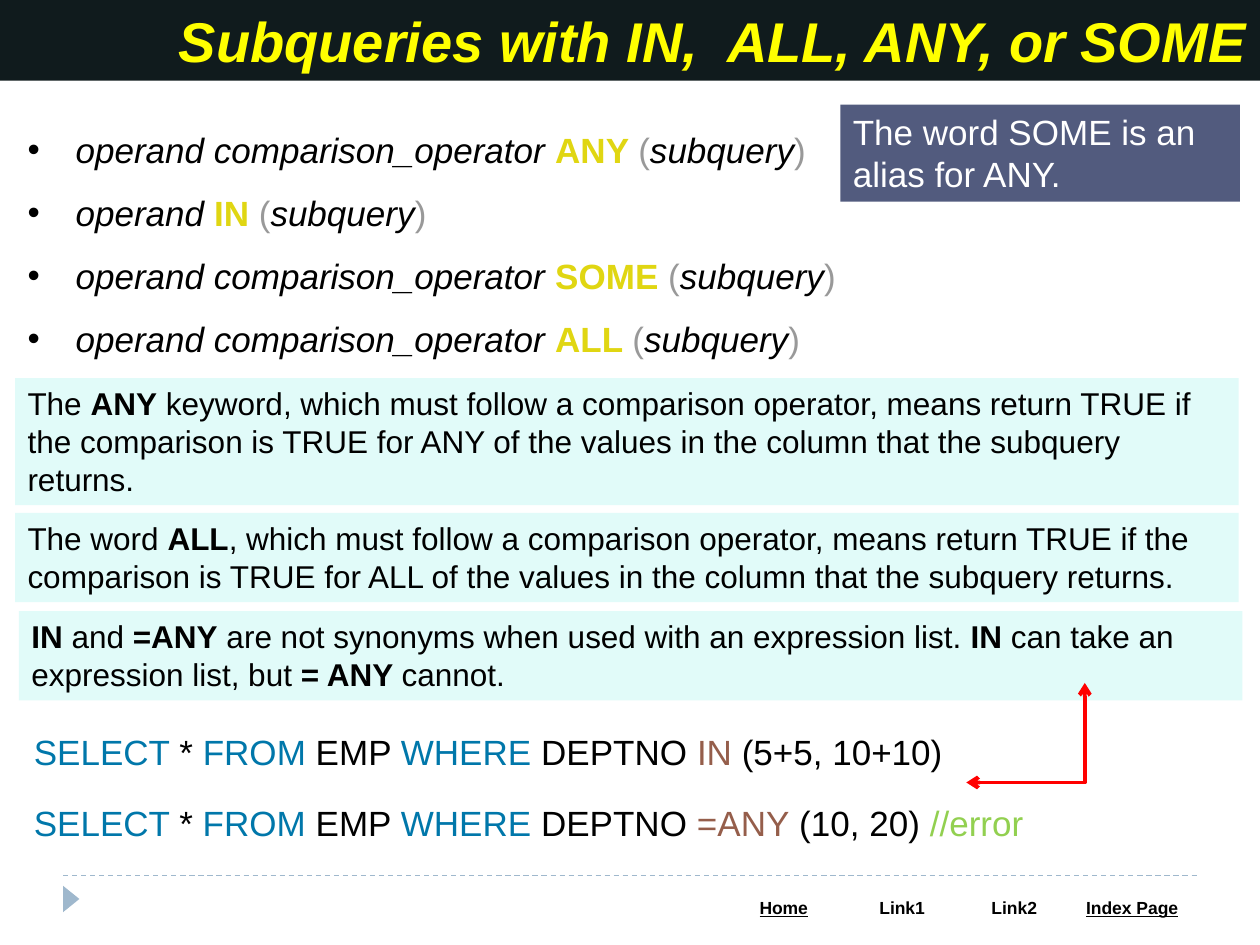
from lxml import etree
from pptx import Presentation
from pptx.dml.color import RGBColor
from pptx.enum.dml import MSO_LINE
from pptx.enum.shapes import MSO_CONNECTOR, MSO_SHAPE
from pptx.enum.text import MSO_ANCHOR, MSO_AUTO_SIZE, PP_ALIGN
from pptx.oxml.ns import qn
from pptx.util import Inches, Pt

STRAIGHT, ELBOW = MSO_CONNECTOR.STRAIGHT, MSO_CONNECTOR.ELBOW
RECTANGLE, TRIANGLE = MSO_SHAPE.RECTANGLE, MSO_SHAPE.ISOSCELES_TRIANGLE
LEFT, CENTER, RIGHT = PP_ALIGN.LEFT, PP_ALIGN.CENTER, PP_ALIGN.RIGHT
TOP, MIDDLE = MSO_ANCHOR.TOP, MSO_ANCHOR.MIDDLE
NO_AUTOFIT, DASH = MSO_AUTO_SIZE.NONE, MSO_LINE.DASH

BLACK = RGBColor(0x00, 0x00, 0x00)
WHITE = RGBColor(0xFF, 0xFF, 0xFF)
YELLOW = RGBColor(0xFF, 0xFF, 0x00)
BANNER = RGBColor(0x10, 0x1B, 0x1D)
OPERATOR = RGBColor(0xE0, 0xD6, 0x12)
BRACKET = RGBColor(0x99, 0x99, 0x99)
NOTE = RGBColor(0xE1, 0xFB, 0xF9)
CALLOUT = RGBColor(0x52, 0x5B, 0x7E)
KEYWORD = RGBColor(0x00, 0x77, 0xAA)
PREDICATE = RGBColor(0x95, 0x5E, 0x4B)
COMMENT = RGBColor(0x92, 0xD0, 0x50)
FOOTER = RGBColor(0x9F, 0xB8, 0xCD)
RED = RGBColor(0xFF, 0x00, 0x00)


def add_text(para, text, size=20, color=BLACK, bold=False, italic=False, underline=False):
    span = para.add_run()
    span.text = text
    font = span.font
    font.name, font.size = "Arial", Pt(size)
    font.bold, font.italic, font.underline = bold, italic, underline
    font.color.rgb = color


def place(shape, left, top, width, height):
    shape.left, shape.top = Inches(left), Inches(top)
    shape.width, shape.height = Inches(width), Inches(height)


def prepare_frame(shape, anchor=TOP):
    frame = shape.text_frame
    frame.word_wrap = True
    frame.auto_size = NO_AUTOFIT
    frame.vertical_anchor = anchor
    return frame


def fill_title(page, text):
    title = page.shapes.title
    place(title, 0, 0, 10, 0.64)
    title.fill.solid()
    title.fill.fore_color.rgb = BANNER
    para = prepare_frame(title, MIDDLE).paragraphs[0]
    para.alignment = RIGHT
    add_text(para, text, size=32, color=YELLOW, bold=True, italic=True)


def add_bullet(para):
    properties = para._p.get_or_add_pPr()
    properties.set("marL", str(Inches(0.38)))
    properties.set("indent", str(Inches(-0.38)))
    etree.SubElement(properties, qn("a:buFont")).set("typeface", "Arial")
    etree.SubElement(properties, qn("a:buChar")).set("char", "•")


def fill_syntax_list(page, rows):
    body = page.placeholders[1]
    place(body, 0.12, 0.8, 9.71, 2.12)
    frame = prepare_frame(body)
    for index, (operand, operator) in enumerate(rows):
        para = frame.add_paragraph() if index else frame.paragraphs[0]
        add_bullet(para)
        para.line_spacing = 1.5
        para.space_before = Pt(0)
        add_text(para, operand + " ", italic=True)
        add_text(para, operator + " ", color=OPERATOR, bold=True)
        add_text(para, "(", color=BRACKET)
        add_text(para, "subquery", italic=True)
        add_text(para, ")", color=BRACKET)


def add_filled_shape(page, kind, color, *position):
    shape = page.shapes.add_shape(kind, *map(Inches, position))
    shape.shadow.inherit = False
    shape.fill.solid()
    shape.fill.fore_color.rgb = color
    shape.line.fill.background()
    return shape


def add_panel(page, position, spans, fill=NOTE, size=18, color=BLACK):
    """Add a filled box; spans are (text, bold) pairs."""
    panel = add_filled_shape(page, RECTANGLE, fill, *position)
    para = prepare_frame(panel).paragraphs[0]
    para.alignment = LEFT
    for text, bold in spans:
        add_text(para, text, size=size, color=color, bold=bold)


def add_query(page, top, width, predicate, values, comment=""):
    box = page.shapes.add_textbox(Inches(0.17), Inches(top), Inches(width), Inches(0.44))
    para = prepare_frame(box).paragraphs[0]
    spans = [("SELECT ", KEYWORD), ("* ", BLACK), ("FROM", KEYWORD), (" EMP ", BLACK),
             ("WHERE", KEYWORD), (" DEPTNO ", BLACK), (predicate, PREDICATE), (values, BLACK)]
    if comment:
        spans.append((comment, COMMENT))
    for text, color in spans:
        add_text(para, text, color=color)


def add_line(page, kind, start, end, color, width):
    line = page.shapes.add_connector(kind, *map(Inches, start + end))
    line.line.color.rgb = color
    line.line.width = Pt(width)
    etree.SubElement(line._element.spPr, qn("a:effectLst"))
    return line


def add_elbow_arrow(page, start, end):
    """Join two points by a vertical then a horizontal leg, with arrows at both ends."""
    arrow = add_line(page, ELBOW, start, end, RED, 2.25)
    guides = arrow._element.spPr.find(qn("a:prstGeom")).find(qn("a:avLst"))
    etree.SubElement(guides, qn("a:gd"), name="adj1", fmla="val 0")
    outline = arrow.line._get_or_add_ln()
    for tag in ("a:headEnd", "a:tailEnd"):
        etree.SubElement(outline, qn(tag)).set("type", "arrow")


def add_footer(page, links):
    """Add the rule, marker and link table; links are (label, width, underline)."""
    marker = add_filled_shape(page, TRIANGLE, FOOTER, 0.46, 7.07, 0.21, 0.13)
    marker.rotation = 90
    rule = add_line(page, STRAIGHT, (0.5, 6.95), (9.5, 6.95), FOOTER, 0.75)
    rule.line.dash_style = DASH
    total = sum(width for _, width, _ in links)
    frame = page.shapes.add_table(1, len(links), Inches(5.75), Inches(7.08),
                                  Inches(total), Inches(0.27))
    table = frame.table
    for index, (label, width, underline) in enumerate(links):
        table.columns[index].width = Inches(width)
        cell = table.cell(0, index)
        cell.fill.solid()
        cell.fill.fore_color.rgb = WHITE
        para = cell.text_frame.paragraphs[0]
        para.alignment = CENTER
        add_text(para, label, size=10, bold=True, underline=underline)


def main():
    deck = Presentation()
    deck.slide_width, deck.slide_height = Inches(10), Inches(7.5)
    page = deck.slides.add_slide(deck.slide_layouts[1])

    add_footer(page, [("Home", 0.94, True), ("Link1", 0.94, False),
                      ("Link2", 0.84, False), ("Index Page", 1.03, True)])
    fill_title(page, "Subqueries with IN,  ALL, ANY, or SOME")
    comparison = "operand comparison_operator"
    fill_syntax_list(page, [(comparison, "ANY"), ("operand", "IN"),
                            (comparison, "SOME"), (comparison, "ALL")])

    add_panel(page, (6.67, 0.83, 3.17, 0.77),
              [("The word SOME is an alias for ANY.", False)],
              fill=CALLOUT, size=20, color=WHITE)
    meaning = (", which must follow a comparison operator, means return TRUE if the comparison "
               "is TRUE for {} of the values in the column that the subquery returns.")
    add_panel(page, (0.12, 3, 9.71, 1.01),
              [("The ", False), ("ANY", True), (" keyword" + meaning.format("ANY"), False)])
    add_panel(page, (0.12, 4.07, 9.71, 0.71),
              [("The word ", False), ("ALL", True), (meaning.format("ALL"), False)])
    add_panel(page, (0.15, 4.85, 9.71, 0.71),
              [("IN", True), (" and ", False), ("=ANY", True),
               (" are not synonyms when used with an expression list. ", False),
               ("IN", True), (" can take an expression list, but ", False),
               ("= ANY ", True), ("cannot.", False)])

    add_query(page, 5.75, 9.69, "IN", " (5+5, 10+10)")
    add_query(page, 6.31, 9.67, "=ANY", " (10, 20) ", "//error")
    add_elbow_arrow(page, (8.61, 5.42), (7.67, 6.21))
    deck.save("out.pptx")


if __name__ == "__main__":
    main()
